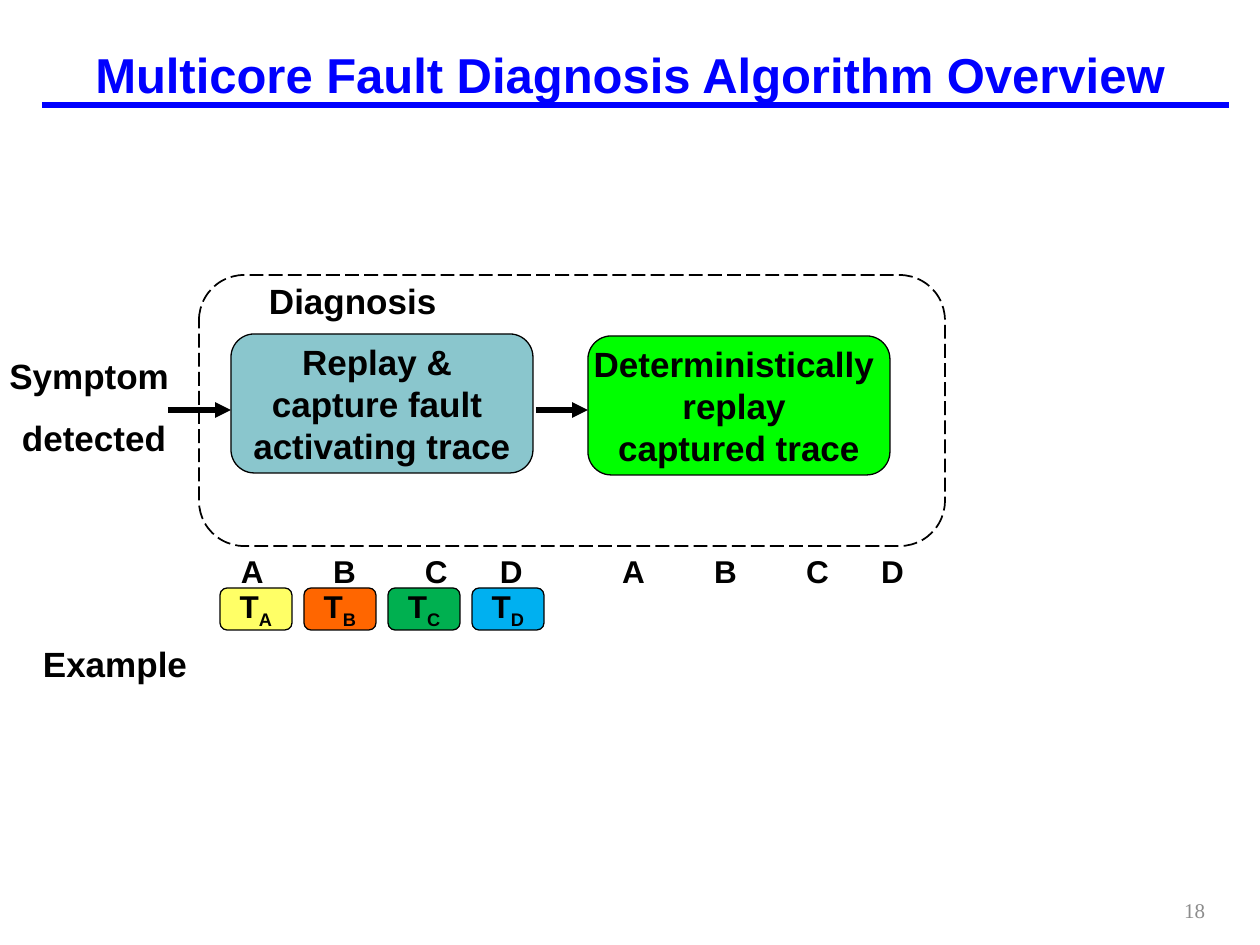
from dataclasses import dataclass

from lxml import etree
from pptx import Presentation
from pptx import util as u
from pptx.dml.color import RGBColor
from pptx.enum import dml, shapes, text
from pptx.oxml import ns

SCALE = 914400 / 126
KIND = shapes.MSO_SHAPE
LEFT, MID, RIGHT = text.PP_ALIGN.LEFT, text.PP_ALIGN.CENTER, text.PP_ALIGN.RIGHT


def px(n):
    return u.Emu(round(n * SCALE))


@dataclass(frozen=True)
class Theme:
    sans: str = "Arial"
    serif: str = "Times New Roman"
    ink: str = "000000"
    blue: str = "0000FF"
    gray: str = "8C8C8C"
    teal: str = "8AC6CD"
    lime: str = "00FF00"
    cores: tuple = ("FFFF66", "FF6600", "00B050", "00B0F0")
    head: int = 28
    body: int = 20
    label: int = 18
    note: int = 12


class Deck:
    def __init__(self, theme):
        self.theme = theme
        self.file = Presentation()
        self.file.slide_width, self.file.slide_height = px(1260), px(945)
        self.page = self.file.slides.add_slide(self.file.slide_layouts[5])

    def font(self, para, size, color=None, face=None, bold=True):
        font = para.font
        font.name, font.size, font.bold = face or self.theme.sans, u.Pt(size), bold
        font.color.rgb = RGBColor.from_string(color or self.theme.ink)

    def fill_text(self, frame, lines, size, align=MID, gap=0, tabs=(), **style):
        for i, line in enumerate(lines):
            para = frame.paragraphs[0] if i == 0 else frame.add_paragraph()
            para.alignment = align
            if i and gap:
                para.space_before = u.Pt(gap)
            if tabs:
                stops = etree.SubElement(para._p.get_or_add_pPr(), ns.qn("a:tabLst"))
                for stop in tabs:
                    etree.SubElement(stops, ns.qn("a:tab"), pos=str(px(stop)), algn="l")
            base, _, sub = line.partition("_")
            para.add_run().text = base
            if sub:
                run = para.add_run()
                run.text = sub
                run._r.get_or_add_rPr().set("baseline", "-25000")
            self.font(para, size, **style)

    def title(self, words, x, y, w, h):
        shape = self.page.shapes.title
        shape.left, shape.top, shape.width, shape.height = map(px, (x, y, w, h))
        shape.text_frame.vertical_anchor = text.MSO_ANCHOR.MIDDLE
        self.fill_text(shape.text_frame, [words], self.theme.head,
                       color=self.theme.blue)

    def label(self, lines, x, y, w, h, size, pad=(13, 6),
              anchor=text.MSO_ANCHOR.TOP, **style):
        frame = self.page.shapes.add_textbox(*map(px, (x, y, w, h))).text_frame
        frame.word_wrap = True
        frame.vertical_anchor = anchor
        frame.margin_left = frame.margin_right = px(pad[0])
        frame.margin_top = frame.margin_bottom = px(pad[1])
        self.fill_text(frame, lines, size, **style)

    def box(self, kind, x, y, w, h, fill=None, lines=(), size=20, wrap=True,
            width=0.75, dash=None):
        shape = self.page.shapes.add_shape(kind, *map(px, (x, y, w, h)))
        shape.shadow.inherit = False
        if fill:
            shape.fill.solid()
            shape.fill.fore_color.rgb = RGBColor.from_string(fill)
        else:
            shape.fill.background()
        shape.line.color.rgb = RGBColor.from_string(self.theme.ink)
        shape.line.width = u.Pt(width)
        if dash:
            shape.line.dash_style = dash
        shape.text_frame.word_wrap = wrap
        shape.text_frame.vertical_anchor = text.MSO_ANCHOR.MIDDLE
        self.fill_text(shape.text_frame, lines, size)

    def line(self, x, y, end, color, arrow=False):
        link = self.page.shapes.add_connector(
            shapes.MSO_CONNECTOR.STRAIGHT, *map(px, (x, y, end, y)))
        link.line.color.rgb = RGBColor.from_string(color)
        link.line.width = u.Pt(3)
        props = link._element.spPr
        if arrow:
            etree.SubElement(props.find(ns.qn("a:ln")), ns.qn("a:tailEnd"),
                             type="triangle")
        etree.SubElement(props, ns.qn("a:effectLst"))


def main():
    theme = Theme()
    deck = Deck(theme)
    deck.line(42, 105, 1229, theme.blue)
    deck.title("Multicore Fault Diagnosis Algorithm Overview", 0, 21, 1260, 105)
    deck.label(["18"], 924, 885, 294, 50, theme.note, align=RIGHT,
               anchor=text.MSO_ANCHOR.MIDDLE, color=theme.gray,
               face=theme.serif, bold=False)

    deck.box(KIND.ROUNDED_RECTANGLE, 199, 275, 746, 271, width=1,
             dash=dml.MSO_LINE.LONG_DASH)
    deck.label(["Diagnosis"], 256, 273, 276, 33, theme.body, align=LEFT)
    deck.label(["Symptom ", "detected"], -53, 346, 294, 122, theme.body,
               pad=(16, 8), gap=11.5)
    steps = (
        (231, 334, theme.teal, ["Replay & ", "capture fault ", "activating trace"]),
        (588, 336, theme.lime, ["Deterministically ", "replay ", "captured trace"]),
    )
    for x, y, fill, lines in steps:
        deck.box(KIND.FLOWCHART_ALTERNATE_PROCESS, x, y, 302, 139, fill, lines,
                 theme.body, wrap=False)
    for x, end in ((168, 231), (536, 588)):
        deck.line(x, 410, end, theme.ink, arrow=True)

    for i, (core, fill) in enumerate(zip("ABCD", theme.cores)):
        deck.box(KIND.ROUNDED_RECTANGLE, 220 + 84 * i, 588, 72, 42, fill,
                 [f"T_{core}"], theme.label)
    for x in (228, 609):
        deck.label(["\t".join("ABCD")], x, 546, 357, 50, theme.label,
                   align=LEFT, tabs=(92, 184, 259))
    deck.label(["Example"], -32, 634, 294, 59, theme.body, pad=(16, 8))
    deck.file.save("out.pptx")


if __name__ == "__main__":
    main()
